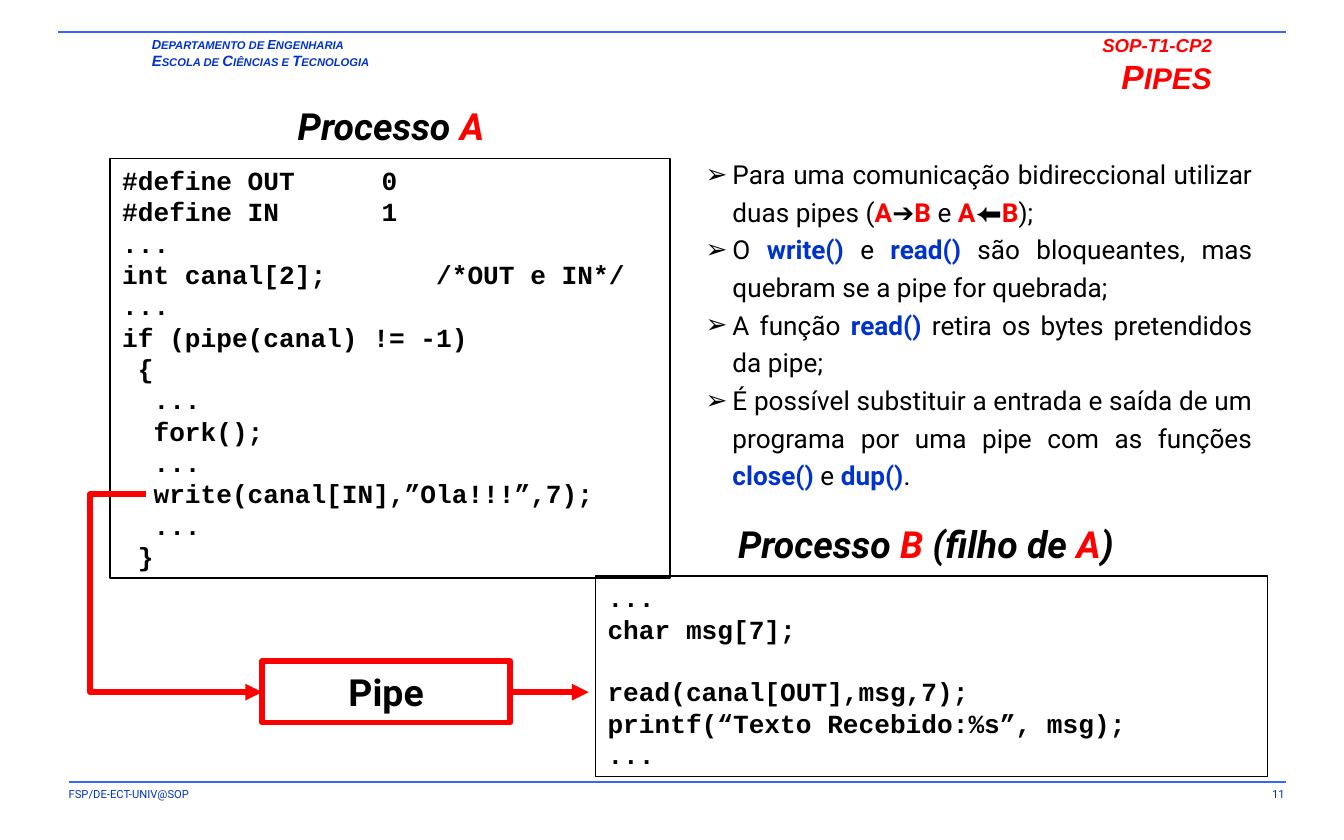
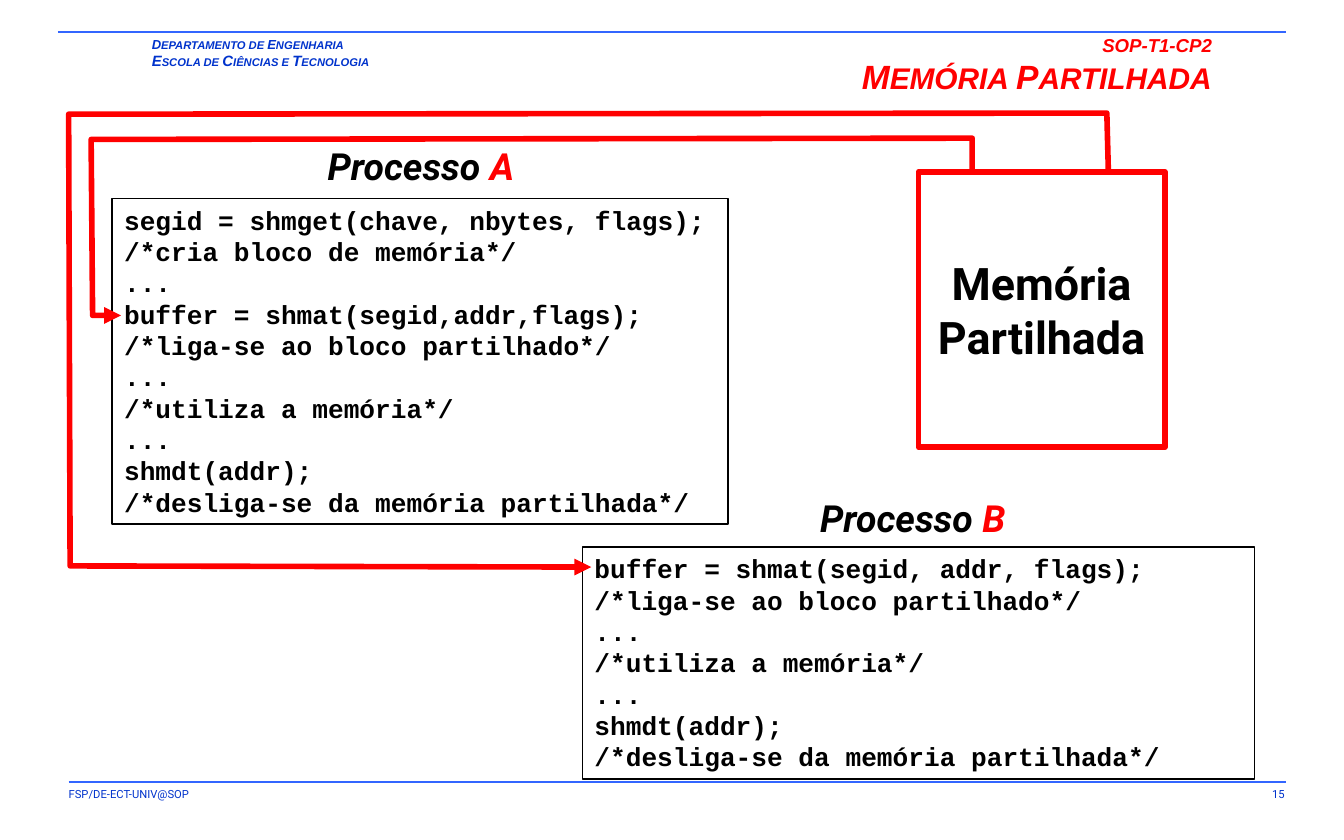
from lxml import etree
from pptx import Presentation
from pptx.dml.color import RGBColor
from pptx.enum.shapes import MSO_CONNECTOR, MSO_SHAPE
from pptx.enum.text import MSO_ANCHOR, MSO_AUTO_SIZE, PP_ALIGN
from pptx.oxml.ns import qn
from pptx.util import Pt

# Shared look
BLACK = RGBColor(0x00, 0x00, 0x00)
RED = RGBColor(0xFF, 0x00, 0x00)
BLUE = RGBColor(0x00, 0x33, 0xCC)
RULE = RGBColor(0x33, 0x66, 0xFF)
SANS, HEAD, MONO = "Roboto", "Arial", "Courier New"
LEFT, RIGHT = PP_ALIGN.LEFT, PP_ALIGN.RIGHT
CENTER, JUSTIFY = PP_ALIGN.CENTER, PP_ALIGN.JUSTIFY
TOP, MIDDLE = MSO_ANCHOR.TOP, MSO_ANCHOR.MIDDLE
RECT, STRAIGHT = MSO_SHAPE.RECTANGLE, MSO_CONNECTOR.STRAIGHT
THIN, THICK = 0.75, 3
PITCH = 16.77  # height of one code line
TAB = 139

# Slide content
DEPT = [("D|EPARTAMENTO DE |E|NGENHARIA", 7),
        ("E|SCOLA DE |C|IÊNCIAS E |T|ECNOLOGIA", 8)]

PIPE_A = """#define OUT\t0
#define IN\t1
...
int canal[2];       /*OUT e IN*/
...
if (pipe(canal) != -1)
 {
  ...
  fork();
  ...
  write(canal[IN],”Ola!!!”,7);
  ...
 }"""

PIPE_B = """...
char msg[7];

read(canal[OUT],msg,7);
printf(“Texto Recebido:%s”, msg);
..."""

SHARE = """/*liga-se ao bloco partilhado*/
...
/*utiliza a memória*/
...
shmdt(addr);
/*desliga-se da memória partilhada*/"""

SHM_A = """segid = shmget(chave, nbytes, flags);
/*cria bloco de memória*/
...
buffer = shmat(segid,addr,flags);
""" + SHARE

SHM_B = "buffer = shmat(segid, addr, flags);\n" + SHARE

NOTES = [
    [("Para uma comunicação bidireccional utilizar duas pipes (", BLACK),
     ("A", RED), ("➔", BLACK), ("B", RED), (" e ", BLACK),
     ("A", RED), ("⬅", BLACK), ("B", RED), (");", BLACK)],
    [("O ", BLACK), ("write()", BLUE), (" e ", BLACK), ("read()", BLUE),
     (" são bloqueantes, mas quebram se a pipe for quebrada;", BLACK)],
    [("A função ", BLACK), ("read()", BLUE),
     (" retira os bytes pretendidos da pipe;", BLACK)],
    [("É possível substituir a entrada e saída de um programa por uma pipe "
      "com as funções ", BLACK),
     ("close()", BLUE), (" e ", BLACK), ("dup()", BLUE), (".", BLACK)],
]


# Text helpers
def put(para, text, size, font=SANS, color=BLACK, bold=False, slant=False):
    run = para.add_run()
    run.text = text
    face = run.font
    face.size, face.name = Pt(size), font
    face.bold, face.italic = bold, slant
    face.color.rgb = color


def caps(para, text, big, small, color):
    """Bold italic small capitals: large and small parts alternate."""
    for i, part in enumerate(text.split("|")):
        put(para, part, small if i % 2 else big, HEAD, color, True, True)


def setup(frame, x, y, wrap=True, anchor=TOP):
    frame.margin_left = frame.margin_right = Pt(x)
    frame.margin_top = frame.margin_bottom = Pt(y)
    frame.word_wrap, frame.vertical_anchor = wrap, anchor
    frame.auto_size = MSO_AUTO_SIZE.NONE
    return frame


def line(frame, i, align=LEFT):
    para = frame.paragraphs[0] if i == 0 else frame.add_paragraph()
    para.alignment = align
    return para


def place(shape, box):
    shape.left, shape.top, shape.width, shape.height = map(Pt, box)


def label(slide, box, x, y, wrap=True, anchor=TOP):
    shape = slide.shapes.add_textbox(*map(Pt, box))
    return setup(shape.text_frame, x, y, wrap, anchor)


# Shape helpers
def stroke(shape, color, width, arrow=False):
    shape.line.color.rgb = color
    shape.line.width = Pt(width)
    if arrow:
        ln = shape.line._get_or_add_ln()
        etree.SubElement(ln, qn("a:tailEnd"), type="triangle")


def rule(slide, start, end, color=RULE, width=THIN, arrow=False):
    link = slide.shapes.add_connector(STRAIGHT, *map(Pt, start + end))
    stroke(link, color, width, arrow)
    etree.SubElement(link._element.spPr, qn("a:effectLst"))


def frame_box(slide, box, color, width):
    shape = slide.shapes.add_shape(RECT, *map(Pt, box))
    shape.shadow.inherit = False
    shape.fill.background()
    stroke(shape, color, width)
    return shape.text_frame


def route(slide, points):
    """Red bent arrow through the points."""
    first, *rest = [(Pt(x), Pt(y)) for x, y in points]
    pen = slide.shapes.build_freeform(*first)
    pen.add_line_segments(rest, close=False)
    shape = pen.convert_to_shape()
    shape.shadow.inherit = False
    shape.fill.background()
    stroke(shape, RED, THICK, True)


def code(slide, box, text):
    frame = setup(frame_box(slide, box, BLACK, THIN), 6.5, 3.1)
    rows, gap = 0, 0
    for row in text.split("\n"):
        if not row:  # an empty code line becomes space before the next
            gap += PITCH
            continue
        para = line(frame, rows)
        para.line_spacing, para.space_before = Pt(PITCH), Pt(gap)
        if "\t" in row:
            tabs = etree.SubElement(para._p.get_or_add_pPr(), qn("a:tabLst"))
            etree.SubElement(tabs, qn("a:tab"), pos=str(Pt(TAB)), algn="l")
        put(para, row, 14, MONO, bold=True)
        rows, gap = rows + 1, 0


def heading(slide, box, parts):
    para = line(label(slide, box, 3.6, 2, False, MIDDLE), 0, CENTER)
    for text, color in parts:
        put(para, text, 20, SANS, color, True, True)


def block(slide, box, rows, size):
    frame = setup(frame_box(slide, box, RED, THICK), 7.2, 3.6, False, MIDDLE)
    for i, row in enumerate(rows):
        put(line(frame, i, CENTER), row, size, bold=True)


def bullets(body, box, items):
    place(body, box)
    frame = setup(body.text_frame, 6.5, 3.1)
    for i, item in enumerate(items):
        para = line(frame, i, JUSTIFY)
        para.line_spacing, para.space_before = 1.2, Pt(0)
        props = para._p.get_or_add_pPr()
        props.set("marL", str(Pt(14.4)))
        props.set("indent", str(Pt(-14.4)))
        etree.SubElement(props, qn("a:buChar"), char="➢")
        for text, color in item:
            put(para, text, 14, SANS, color, color != BLACK)


# Header, footer and title of every slide
def base(deck, layout, number, title):
    slide = deck.slides.add_slide(deck.slide_layouts[layout])
    foot = label(slide, (31, 419, 335, 14.4), 5.8, 2.9)
    put(line(foot, 0), "FSP/DE-ECT-UNIV@SOP", 6, color=BLUE)
    page = label(slide, (604, 419, 90, 15), 5.8, 2.9)
    put(line(page, 0, RIGHT), number, 6, color=BLUE)
    dept = label(slide, (76.3, 17.3, 187, 23), 5, 2.2)
    for i, (text, big) in enumerate(DEPT):
        caps(line(dept, i), text, big, 6, BLUE)
    rule(slide, (31, 17.1), (689, 17.1))
    rule(slide, (36.8, 419), (689, 419))

    head = slide.shapes.title
    place(head, (237, 15.1, 418, 33.8))
    para = line(setup(head.text_frame, 5.8, 2.9), 0, RIGHT)
    put(para, "SOP-T1-CP2", 10, HEAD, RED, True, True)
    para.add_line_break()
    etree.SubElement(para._p[-1], qn("a:rPr"), sz="1000")
    caps(para, title, 18, 16, RED)
    return slide


def pipes(deck):
    slide = base(deck, 1, "11", "P|IPES")
    code(slide, (59, 85, 300, 224.6), PIPE_A)
    heading(slide, (101.5, 49, 216, 36), [("Processo ", BLACK), ("A", RED)])
    code(slide, (319, 308.6, 360, 107.4), PIPE_B)
    heading(slide, (373, 273, 246, 36),
            [("Processo ", BLACK), ("B ", RED), ("(filho de ", BLACK),
             ("A", RED), (")", BLACK)])
    # Flow from write to read
    block(slide, (140.4, 354.2, 133, 33), ["Pipe"], 20)
    route(slide, [(78, 264.7), (48.2, 264.7), (48.2, 370.8), (140.4, 370.8)])
    rule(slide, (273.4, 370.8), (315.4, 370.8), RED, THICK, True)
    bullets(slide.placeholders[1], (371.5, 78.5, 306, 187), NOTES)


def memory(deck):
    slide = base(deck, 5, "15", "M|EMÓRIA |P|ARTILHADA")
    code(slide, (60, 106.3, 330, 174.4), SHM_A)
    heading(slide, (106.5, 70.8, 238, 36), [("Processo ", BLACK), ("A", RED)])
    code(slide, (312, 293, 360, 124.4), SHM_B)
    heading(slide, (366, 259.4, 246, 36), [("Processo ", BLACK), ("B", RED)])
    # Shared block and its links to both processes
    block(slide, (492, 92, 132, 147.6), ["Memória", "Partilhada"], 24)
    route(slide, [(520.8, 91.6), (520.8, 74), (48.8, 74.7), (49.6, 169),
                  (64.8, 169)])
    route(slide, [(593.8, 92), (593, 60.6), (36.8, 61.2), (37.6, 303.2),
                  (316.8, 303.8)])


def main():
    deck = Presentation()
    deck.slide_width, deck.slide_height = Pt(720), Pt(450)
    pipes(deck)
    memory(deck)
    deck.save("out.pptx")


main()
